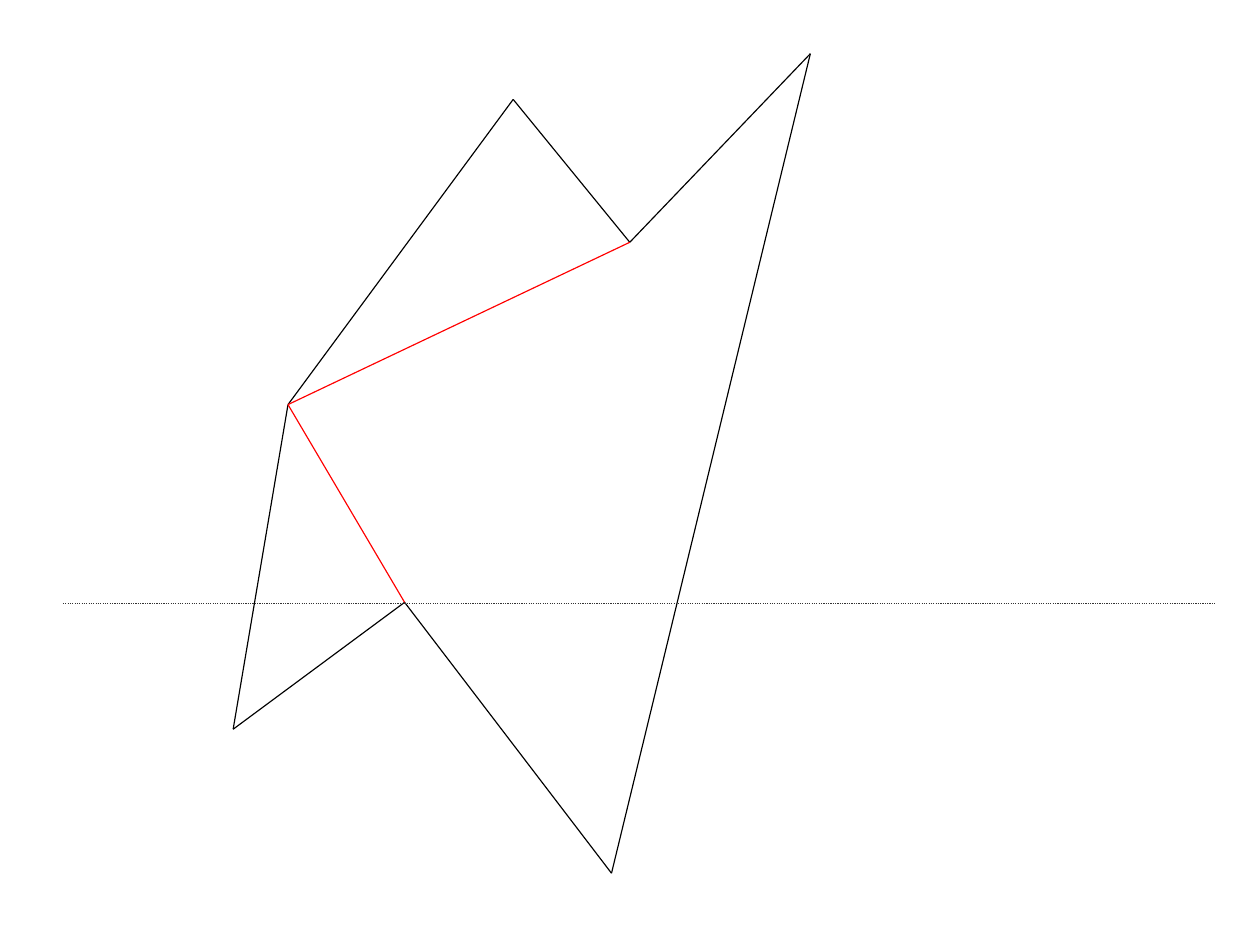
import itertools

import pptx
import pptx.dml.color
import pptx.enum.dml
import pptx.enum.shapes
import pptx.oxml
import pptx.util

BLACK, GREY, RED = "000000", "333333", "FF0000"
CM_PER_INCH = 2.54

PEAK = (4.49, 0.87)
NOTCH = (5.51, 2.12)
TOP = (7.09, 0.47)
BOTTOM = (5.35, 7.64)
BASE = (3.54, 5.27)
LOW_LEFT = (2.04, 6.38)
LEFT = (2.52, 3.54)
OUTLINE = [PEAK, NOTCH, TOP, BOTTOM, BASE, LOW_LEFT, LEFT, PEAK]
DIAGONALS = [NOTCH, LEFT, BASE]
SWEEP_LINE = [(0.55, 5.28), (10.63, 5.28)]


def color(value):
    return pptx.dml.color.RGBColor.from_string(value)


class PolygonSlide:
    """Draws straight lines on one slide in a shared style."""

    def __init__(self, presentation, line_width=0.75):
        self.slide = presentation.slides.add_slide(presentation.slide_layouts[6])
        self.line_width = pptx.util.Pt(line_width)

    def line(self, start, end, line_color, dash=None):
        ends = [pptx.util.Inches(value) for value in (*start, *end)]
        connector = self.slide.shapes.add_connector(
            pptx.enum.shapes.MSO_CONNECTOR.STRAIGHT, *ends)
        connector.line.color.rgb = color(line_color)
        connector.line.width = self.line_width
        if dash is not None:
            connector.line.dash_style = dash
        properties = connector._element.spPr
        properties.append(pptx.oxml.parse_xml(
            '<a:effectLst xmlns:a="http://schemas.openxmlformats.org/drawingml/2006/main"/>'))

    def chain(self, points, line_color, dash=None):
        for start, end in itertools.pairwise(points):
            self.line(start, end, line_color, dash)


def main():
    presentation = pptx.Presentation()
    presentation.slide_width = pptx.util.Inches(28 / CM_PER_INCH)
    presentation.slide_height = pptx.util.Inches(21 / CM_PER_INCH)
    polygon_slide = PolygonSlide(presentation)
    polygon_slide.chain(OUTLINE, BLACK)
    polygon_slide.chain(SWEEP_LINE, GREY, pptx.enum.dml.MSO_LINE.ROUND_DOT)
    polygon_slide.chain(DIAGONALS, RED)
    presentation.save("out.pptx")


if __name__ == "__main__":
    main()
